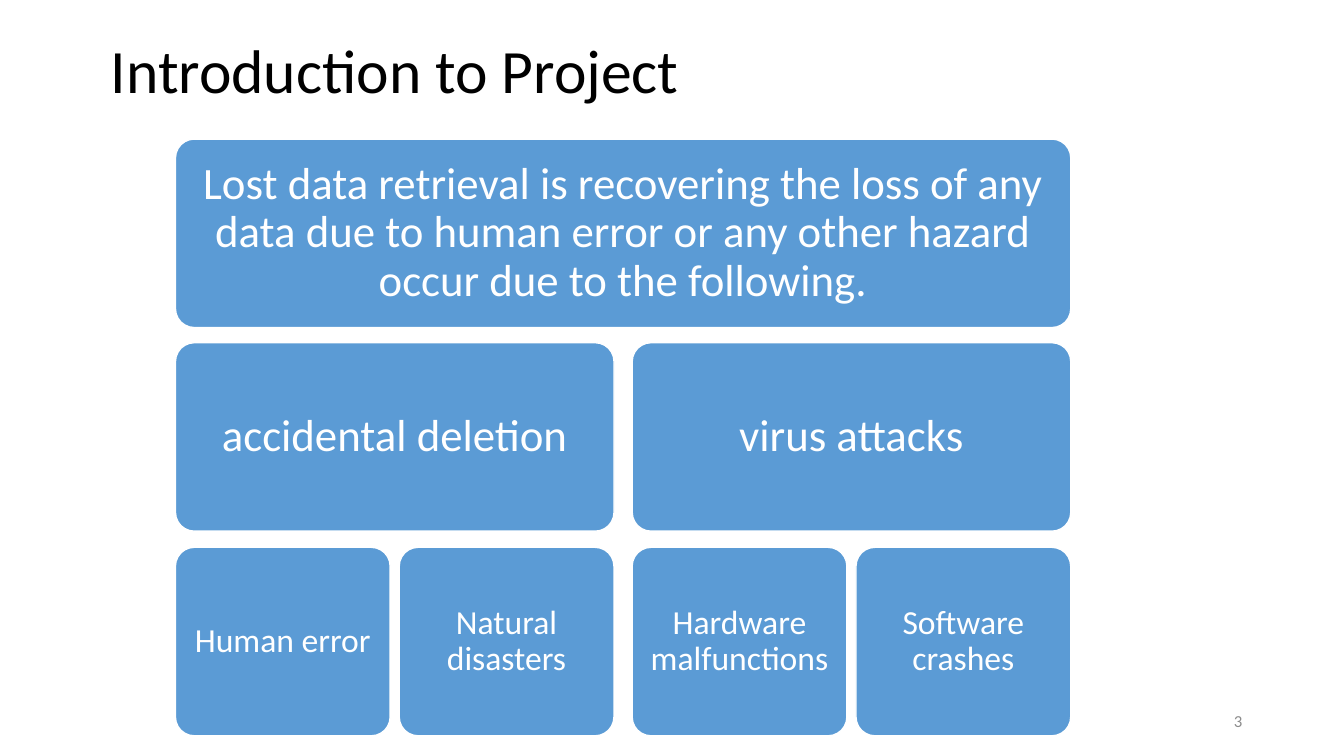
from pptx import Presentation
from pptx.dml.color import RGBColor
from pptx.enum import shapes, text
from pptx.util import Inches, Pt

COLORS = {"title": "000000", "number": "8C8C8C", "box": "5B9BD5", "white": "FFFFFF"}

prs = Presentation()
prs.slide_width, prs.slide_height = Inches(13.33), Inches(7.5)
s = prs.slides.add_slide(prs.slide_layouts[6])


def write(sp, words, size, color, align=text.PP_ALIGN.LEFT, spacing=1.0, inset_x=0.1, inset_y=0.05):
    tf = sp.text_frame
    tf.word_wrap = True
    tf.vertical_anchor = text.MSO_ANCHOR.MIDDLE
    tf.margin_left = tf.margin_right = Inches(inset_x)
    tf.margin_top = tf.margin_bottom = Inches(inset_y)
    p = tf.paragraphs[0]
    p.alignment, p.line_spacing = align, spacing
    r = p.add_run()
    r.text = words
    r.font.name, r.font.size = "Calibri", Pt(size)
    r.font.color.rgb = RGBColor.from_string(COLORS[color])


# Title and slide number
title = s.shapes.add_textbox(Inches(1), Inches(0), Inches(11.5), Inches(1.45))
write(title, "Introduction to Project", 44, "title", spacing=0.9)
number = s.shapes.add_textbox(Inches(9.42), Inches(6.95), Inches(3), Inches(0.4))
write(number, "3", 12, "number", align=text.PP_ALIGN.RIGHT)

# Hierarchy: each row is top, box width, text size, inset and its (left, words) boxes
HALVES = [1.74, 6.27]
QUARTERS = [left + step for left in HALVES for step in (0, 2.22)]
rows = [
    (1.38, 8.88, 32, 0.13, zip(HALVES[:1], [
        "Lost data retrieval is recovering the loss of any data due to human error "
        "or any other hazard occur due to the following."])),
    (3.4, 4.35, 32, 0.13, zip(HALVES, ["accidental deletion", "virus attacks"])),
    (5.43, 2.13, 24, 0.1, zip(QUARTERS, [
        "Human error", "Natural disasters", "Hardware malfunctions", "Software crashes"])),
]
for top, width, size, inset, boxes in rows:
    for left, words in boxes:
        sp = s.shapes.add_shape(shapes.MSO_SHAPE.ROUNDED_RECTANGLE,
                                Inches(left), Inches(top), Inches(width), Inches(1.87))
        sp.adjustments[0] = 0.1
        sp.shadow.inherit = False
        sp.fill.solid()
        sp.fill.fore_color.rgb = RGBColor.from_string(COLORS["box"])
        sp.line.color.rgb = RGBColor.from_string(COLORS["white"])
        sp.line.width = Pt(1)
        write(sp, words, size, "white", align=text.PP_ALIGN.CENTER, spacing=0.9,
              inset_x=inset, inset_y=inset)

prs.save("out.pptx")
